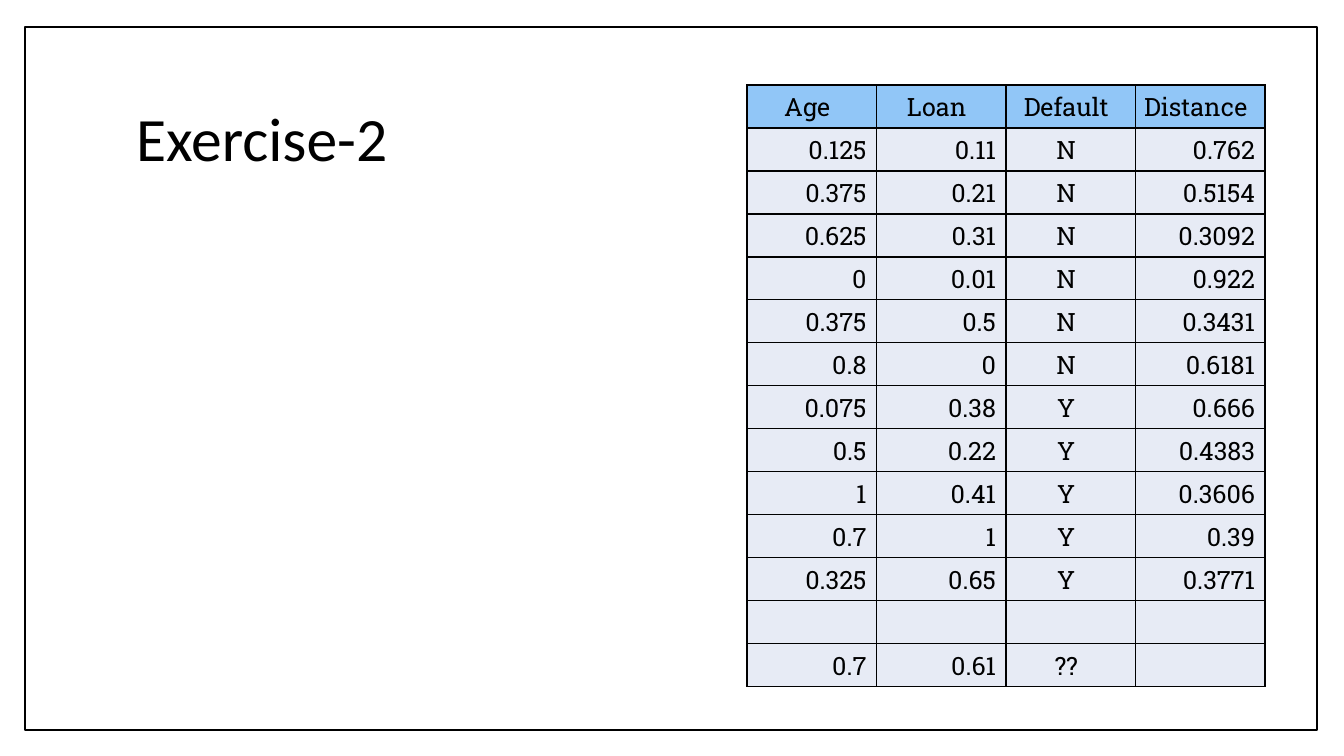
import pptx
import pptx.dml.color
import pptx.enum.shapes
import pptx.enum.text
import pptx.oxml
import pptx.oxml.ns
import pptx.util

PX = 914400 / 100.8
COLORS = {"ink": "000000", "paper": "FFFFFF", "header": "91C6F7", "body": "E7EBF5"}
ALIGN = pptx.enum.text.PP_ALIGN
MIDDLE = pptx.enum.text.MSO_ANCHOR.MIDDLE

HEADER = ("Age", "Loan", "Default", "Distance")
ROWS = [
    ("0.125", "0.11", "N", "0.762"),
    ("0.375", "0.21", "N", "0.5154"),
    ("0.625", "0.31", "N", "0.3092"),
    ("0", "0.01", "N", "0.922"),
    ("0.375", "0.5", "N", "0.3431"),
    ("0.8", "0", "N", "0.6181"),
    ("0.075", "0.38", "Y", "0.666"),
    ("0.5", "0.22", "Y", "0.4383"),
    ("1", "0.41", "Y", "0.3606"),
    ("0.7", "1", "Y", "0.39"),
    ("0.325", "0.65", "Y", "0.3771"),
    ("", "", "", ""),
    ("0.7", "0.61", "??", ""),
]


def px(n):
    return pptx.util.Emu(round(n * PX))


def rgb(name):
    return pptx.dml.color.RGBColor.from_string(COLORS[name])


def write(tf, text, font, size, color="ink", align=ALIGN.LEFT, spacing=None):
    p = tf.paragraphs[0]
    p.alignment = align
    p.line_spacing = spacing
    p.font.size = pptx.util.Pt(size)
    if text:
        r = p.add_run()
        r.text = text
        r.font.name = font
        r.font.size = pptx.util.Pt(size)
        r.font.color.rgb = rgb(color)


class SlideBuilder:
    title_font = "Calibri"
    table_font = "Roboto Slab"
    line_width = pptx.util.Pt(1)

    def __init__(self, prs):
        self.slide = prs.slides.add_slide(prs.slide_layouts[5])
        self.shapes = self.slide.shapes

    def frame(self, x, y, w, h):
        sp = self.shapes.add_shape(
            pptx.enum.shapes.MSO_SHAPE.RECTANGLE, px(x), px(y), px(w), px(h))
        sp.shadow.inherit = False
        sp.fill.solid()
        sp.fill.fore_color.rgb = rgb("paper")
        sp.line.color.rgb = rgb("ink")
        sp.line.width = self.line_width
        self.shapes.element.insert(2, sp.element)

    def title(self, text, x, y, w, h):
        sp = self.shapes.title
        sp.left, sp.top, sp.width, sp.height = px(x), px(y), px(w), px(h)
        sp.text_frame.vertical_anchor = MIDDLE
        write(sp.text_frame, text, self.title_font, 44, spacing=0.9)

    def table(self, rows, x, y, w, row_h):
        frame = self.shapes.add_table(
            len(rows), len(rows[0]), px(x), px(y), px(w), px(row_h * len(rows)))
        for i, row in enumerate(rows):
            for j, text in enumerate(row):
                centred = i == 0 or j == 2
                self.cell(frame.table.cell(i, j), text,
                          "header" if i == 0 else "body",
                          ALIGN.CENTER if centred else ALIGN.RIGHT)

    def cell(self, cell, text, fill, align):
        cell.fill.solid()
        cell.fill.fore_color.rgb = rgb(fill)
        cell.vertical_anchor = MIDDLE
        cell.margin_left = cell.margin_top = px(1)
        cell.margin_right, cell.margin_bottom = px(10), px(0)
        write(cell.text_frame, text, self.table_font, 18, align=align)
        self.borders(cell)

    def borders(self, cell):
        ns = pptx.oxml.ns.nsdecls("a")
        for i, side in enumerate("LRTB"):
            line = pptx.oxml.parse_xml(
                f'<a:ln{side} {ns} w="{self.line_width}"><a:solidFill>'
                f'<a:srgbClr val="{COLORS["ink"]}"/></a:solidFill></a:ln{side}>')
            cell._tc.get_or_add_tcPr().insert(i, line)


def main():
    prs = pptx.Presentation()
    prs.slide_width, prs.slide_height = px(1344), px(756)
    s = SlideBuilder(prs)
    s.frame(25, 27, 1292, 703)
    s.title("Exercise-2", 126, 67, 1089, 149)
    s.table([HEADER] + ROWS, 747, 85, 518, 43)
    prs.save("out.pptx")


if __name__ == "__main__":
    main()
